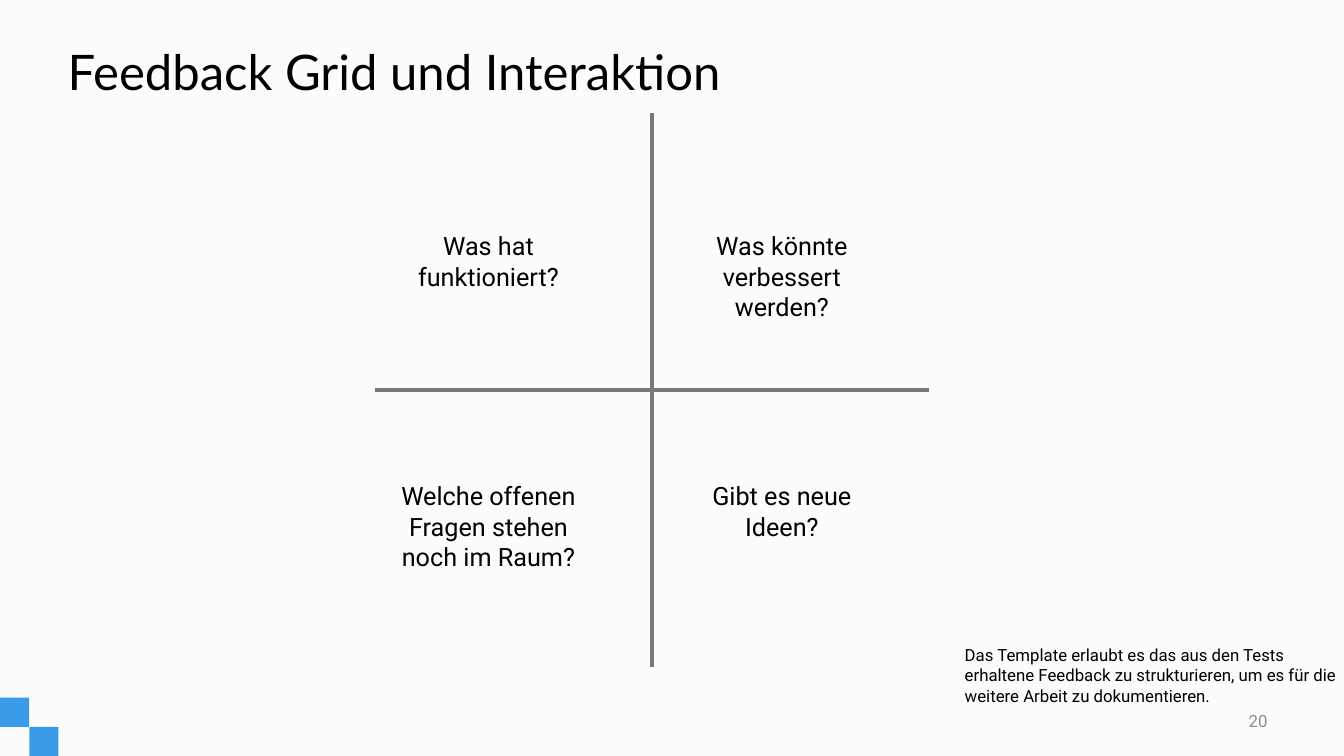
from lxml import etree
from pptx import Presentation
from pptx.dml.color import RGBColor
from pptx.enum.shapes import MSO_CONNECTOR, MSO_SHAPE
from pptx.enum.text import MSO_ANCHOR, MSO_AUTO_SIZE, PP_ALIGN
from pptx.oxml.ns import qn
from pptx.util import Inches, Pt

STRAIGHT = MSO_CONNECTOR.STRAIGHT
RECTANGLE = MSO_SHAPE.RECTANGLE
TOP, MIDDLE = MSO_ANCHOR.TOP, MSO_ANCHOR.MIDDLE
LEFT, CENTER, RIGHT = PP_ALIGN.LEFT, PP_ALIGN.CENTER, PP_ALIGN.RIGHT
NO_AUTOFIT = MSO_AUTO_SIZE.NONE

BACKGROUND, BLUE, GRID_GRAY = "FCFCFC", "3A9CE8", "787878"
BLACK, NUMBER_GRAY = "000000", "8C8C8C"
SQUARE = 0.29
QUESTION_COLUMNS = (3.83, 6.74)
QUESTION_ROWS = (2.24, 4.72)
QUESTIONS = (
    ("Was hat funktioniert?", "Was könnte verbessert werden?"),
    ("Welche offenen Fragen stehen noch im Raum?", "Gibt es neue Ideen?"),
)
NOTE_LINES = (
    "Das Template erlaubt es das aus den Tests",
    "erhaltene Feedback zu strukturieren, um es für die",
    "weitere Arbeit zu dokumentieren.",
)


def color(hex_code):
    return RGBColor.from_string(hex_code)


def write_line(paragraph, text, size, font="Roboto", ink=BLACK, align=LEFT):
    paragraph.alignment = align
    run = paragraph.add_run()
    run.text = text
    run.font.name = font
    run.font.size = Pt(size)
    run.font.color.rgb = color(ink)


def add_title(slide, text):
    title = slide.shapes.title
    title.left, title.top = Inches(0.57), Inches(0.43)
    title.width, title.height = Inches(11.5), Inches(0.45)
    frame = title.text_frame
    frame.auto_size = NO_AUTOFIT
    frame.vertical_anchor = TOP
    frame.paragraphs[0].line_spacing = 0.9
    write_line(frame.paragraphs[0], text, 35, font="Lato")


def add_text(slide, box, lines, size, ink=BLACK, align=LEFT, anchor=TOP,
             right_inset=0.1):
    frame = slide.shapes.add_textbox(*map(Inches, box)).text_frame
    frame.word_wrap = True
    frame.margin_right = Inches(right_inset)
    frame.vertical_anchor = anchor
    for index, line in enumerate(lines):
        paragraph = frame.add_paragraph() if index else frame.paragraphs[0]
        write_line(paragraph, line, size, ink=ink, align=align)


def add_square(slide, left, top):
    square = slide.shapes.add_shape(
        RECTANGLE, Inches(left), Inches(top), Inches(SQUARE), Inches(SQUARE))
    square.shadow.inherit = False
    square.fill.solid()
    square.fill.fore_color.rgb = color(BLUE)
    square.line.fill.background()


def add_axis(group, start, end):
    axis = group.shapes.add_connector(STRAIGHT, *map(Inches, start + end))
    axis.line.color.rgb = color(GRID_GRAY)
    axis.line.width = Pt(3)
    etree.SubElement(axis._element.spPr, qn("a:effectLst"))


def main():
    deck = Presentation()
    deck.slide_width, deck.slide_height = Inches(13.33), Inches(7.5)
    slide = deck.slides.add_slide(deck.slide_layouts[5])

    # Background and corner squares
    slide.background.fill.solid()
    slide.background.fill.fore_color.rgb = color(BACKGROUND)
    add_square(slide, SQUARE, 7.5 - SQUARE)
    add_square(slide, 0, 7.5 - 2 * SQUARE)

    # Title and page number
    add_title(slide, "Feedback Grid und Interaktion")
    add_text(slide, (9.56, 6.95, 3.11, 0.4), ["20"], 12,
             ink=NUMBER_GRAY, align=RIGHT, anchor=MIDDLE)

    # Grid cross
    cross = slide.shapes.add_group_shape()
    add_axis(cross, (6.47, 1.12), (6.47, 6.62))
    add_axis(cross, (9.21, 3.87), (3.72, 3.87))

    # One question per quadrant
    for top, row in zip(QUESTION_ROWS, QUESTIONS):
        for left, question in zip(QUESTION_COLUMNS, row):
            add_text(slide, (left, top, 2.03, 0.48), [question], 18, align=CENTER)

    # Explanatory note, reaching to the slide edge
    add_text(slide, (9.47, 6.35, 3.86, 1), NOTE_LINES, 12, right_inset=0)

    deck.save("out.pptx")


if __name__ == "__main__":
    main()
